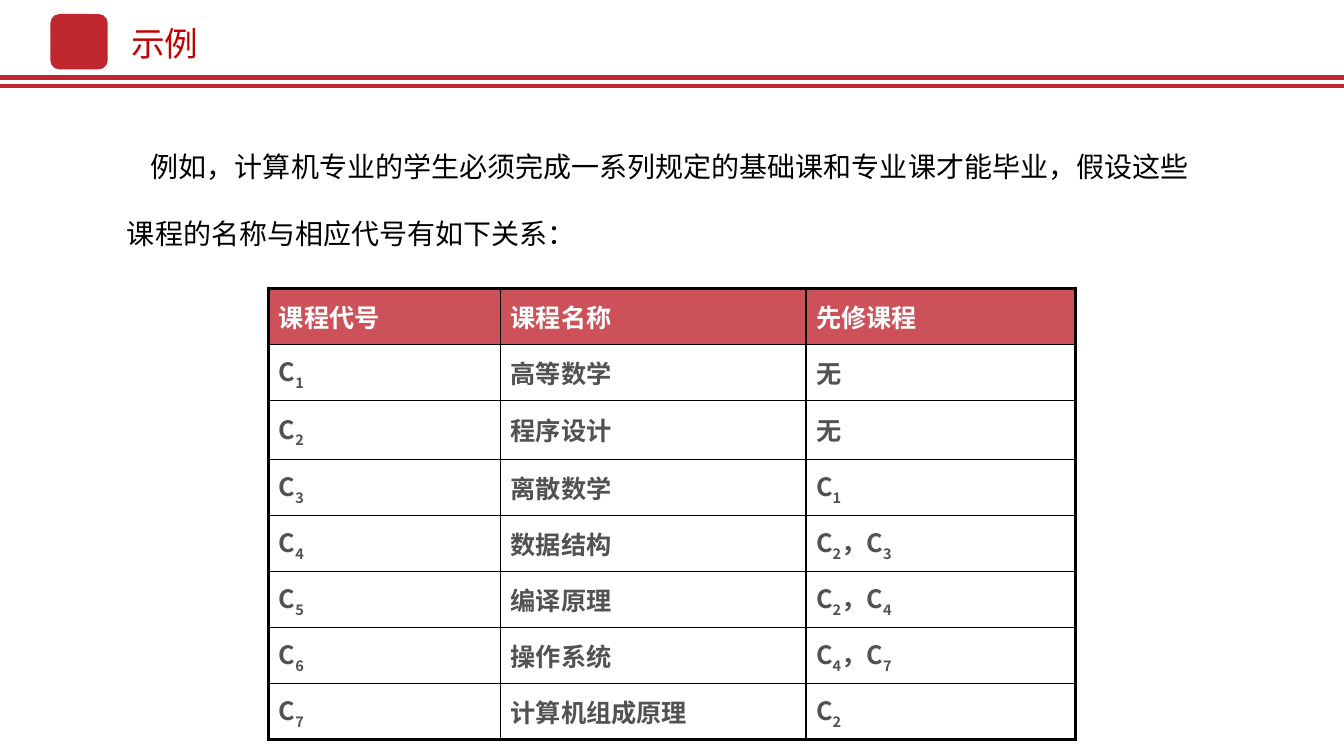
"""Build the course prerequisite example slide."""
from itertools import groupby

from lxml import etree
from pptx import Presentation
from pptx.dml.color import RGBColor
from pptx.enum.shapes import MSO_CONNECTOR, MSO_SHAPE
from pptx.enum.text import MSO_ANCHOR, MSO_AUTO_SIZE, PP_ALIGN
from pptx.oxml.ns import qn
from pptx.util import Pt

STRAIGHT = MSO_CONNECTOR.STRAIGHT
ROUNDED = MSO_SHAPE.ROUNDED_RECTANGLE
TOP, MIDDLE = MSO_ANCHOR.TOP, MSO_ANCHOR.MIDDLE
FIXED = MSO_AUTO_SIZE.NONE
LEFT, JUSTIFY = PP_ALIGN.LEFT, PP_ALIGN.JUSTIFY

FONT = "Noto Sans CJK SC"
COLORS = {
    "brand": "C0262E",
    "title": "C30000",
    "body": "000000",
    "header": "CD5158",
    "header_text": "FFFFFF",
    "cell_text": "525252",
    "border": "000000",
}
PAGE_WIDTH, PAGE_HEIGHT = 960, 540
OUTER, INNER = 2.25, 1
COLUMN_WIDTHS = [165.6, 218.2, 192.2]
ROW_HEIGHTS = [40, 40, 42.2, 40, 40, 40, 40, 40]
INTRO = "例如，计算机专业的学生必须完成一系列规定的基础课和专业课才能毕业，假设这些课程的名称与相应代号有如下关系："
COURSES = [
    ("课程代号", "课程名称", "先修课程"),
    ("C1", "高等数学", "无"),
    ("C2", "程序设计", "无"),
    ("C3", "离散数学", "C1"),
    ("C4", "数据结构", "C2，C3"),
    ("C5", "编译原理", "C2，C4"),
    ("C6", "操作系统", "C4，C7"),
    ("C7", "计算机组成原理", "C2"),
]


def rgb(name):
    """Return the named colour."""
    return RGBColor.from_string(COLORS[name])


def set_font(para, size, color, bold=False):
    """Set the Latin and East Asian font of a paragraph."""
    font = para.font
    font.size, font.bold, font.name = Pt(size), bold, FONT
    font.color.rgb = rgb(color)
    properties = para._p.pPr.find(qn("a:defRPr"))
    etree.SubElement(properties, qn("a:ea"), typeface=FONT)


def place(shape, box):
    """Move a shape to a box given in points."""
    shape.left, shape.top, shape.width, shape.height = map(Pt, box)


def add_rule(page, left, top, width):
    """Draw one horizontal rule."""
    rule = page.shapes.add_connector(STRAIGHT, Pt(left), Pt(top), Pt(left + width), Pt(top))
    rule.line.color.rgb = rgb("brand")
    rule.line.width = Pt(3)
    etree.SubElement(rule._element.spPr, qn("a:effectLst"))


def add_header(page, box):
    """Place the emblem, the title and the double rule."""
    left, top, width, height = box
    for offset in (7.4, 1.6):
        add_rule(page, left, top + height - offset, width)
    emblem = page.shapes.add_shape(
        ROUNDED, Pt(left + 36), Pt(top + 10), Pt(41), Pt(39.6))
    emblem.shadow.inherit = False
    emblem.fill.solid()
    emblem.fill.fore_color.rgb = rgb("brand")
    emblem.line.fill.background()

    title = page.shapes.title
    place(title, (left + 86.4, top + 13, 62.6, 36))
    frame = title.text_frame
    frame.text = "示例"
    frame.word_wrap, frame.auto_size = False, FIXED
    frame.vertical_anchor = MIDDLE
    para = frame.paragraphs[0]
    para.alignment = LEFT
    set_font(para, 24, "title")


def add_intro(page, box):
    """Fill the body placeholder with the introduction."""
    body = page.placeholders[1]
    place(body, box)
    frame = body.text_frame
    frame.text = INTRO
    frame.word_wrap, frame.auto_size = True, FIXED
    frame.vertical_anchor = TOP
    para = frame.paragraphs[0]
    para.alignment = LEFT
    para.line_spacing = 2.0
    para.space_before = Pt(0)
    properties = para._p.get_or_add_pPr()
    properties.set("marL", "0")
    properties.set("indent", str(Pt(17)))
    etree.SubElement(properties, qn("a:buNone"))
    set_font(para, 20, "body")


def set_borders(cell, widths):
    """Draw the left, right, top and bottom borders of a cell."""
    properties = cell._tc.get_or_add_tcPr()
    for side, width in zip("LRTB", widths):
        line = etree.SubElement(properties, qn(f"a:ln{side}"), w=str(Pt(width)))
        fill = etree.SubElement(line, qn("a:solidFill"))
        etree.SubElement(fill, qn("a:srgbClr"), val=COLORS["border"])


def write_cell(cell, text, color):
    """Write bold text with its digits as subscripts."""
    cell.vertical_anchor = MIDDLE
    para = cell.text_frame.paragraphs[0]
    para.alignment = JUSTIFY
    para.space_before = Pt(3.6)
    set_font(para, 18, color, bold=True)
    for is_digit, letters in groupby(text, str.isdigit):
        span = para.add_run()
        span.text = "".join(letters)
        if is_digit:
            span.font._element.set("baseline", "-25000")


def add_courses(page, box):
    """Build the course table."""
    last_row, last_column = len(COURSES) - 1, len(COLUMN_WIDTHS) - 1
    table = page.shapes.add_table(
        last_row + 1, last_column + 1, *map(Pt, box)).table
    table.horz_banding = False
    for column, width in zip(table.columns, COLUMN_WIDTHS):
        column.width = Pt(width)
    for row, height in zip(table.rows, ROW_HEIGHTS):
        row.height = Pt(height)
    for r, course in enumerate(COURSES):
        for c, text in enumerate(course):
            cell = table.cell(r, c)
            edges = (c == 0, c == last_column, r == 0, r == last_row)
            set_borders(cell, [OUTER if edge else INNER for edge in edges])
            if r == 0:
                cell.fill.solid()
                cell.fill.fore_color.rgb = rgb("header")
            else:
                cell.fill.background()
            write_cell(cell, text, "cell_text" if r else "header_text")


def main():
    """Create the deck and save it."""
    deck = Presentation()
    deck.slide_width, deck.slide_height = Pt(PAGE_WIDTH), Pt(PAGE_HEIGHT)
    page = deck.slides.add_slide(deck.slide_layouts[1])
    add_header(page, (0, 0, PAGE_WIDTH, 62.8))
    add_intro(page, (83.5, 79.2, 792.7, 104.4))
    add_courses(page, (192, 206, sum(COLUMN_WIDTHS), sum(ROW_HEIGHTS)))
    deck.save("out.pptx")


if __name__ == "__main__":
    main()
